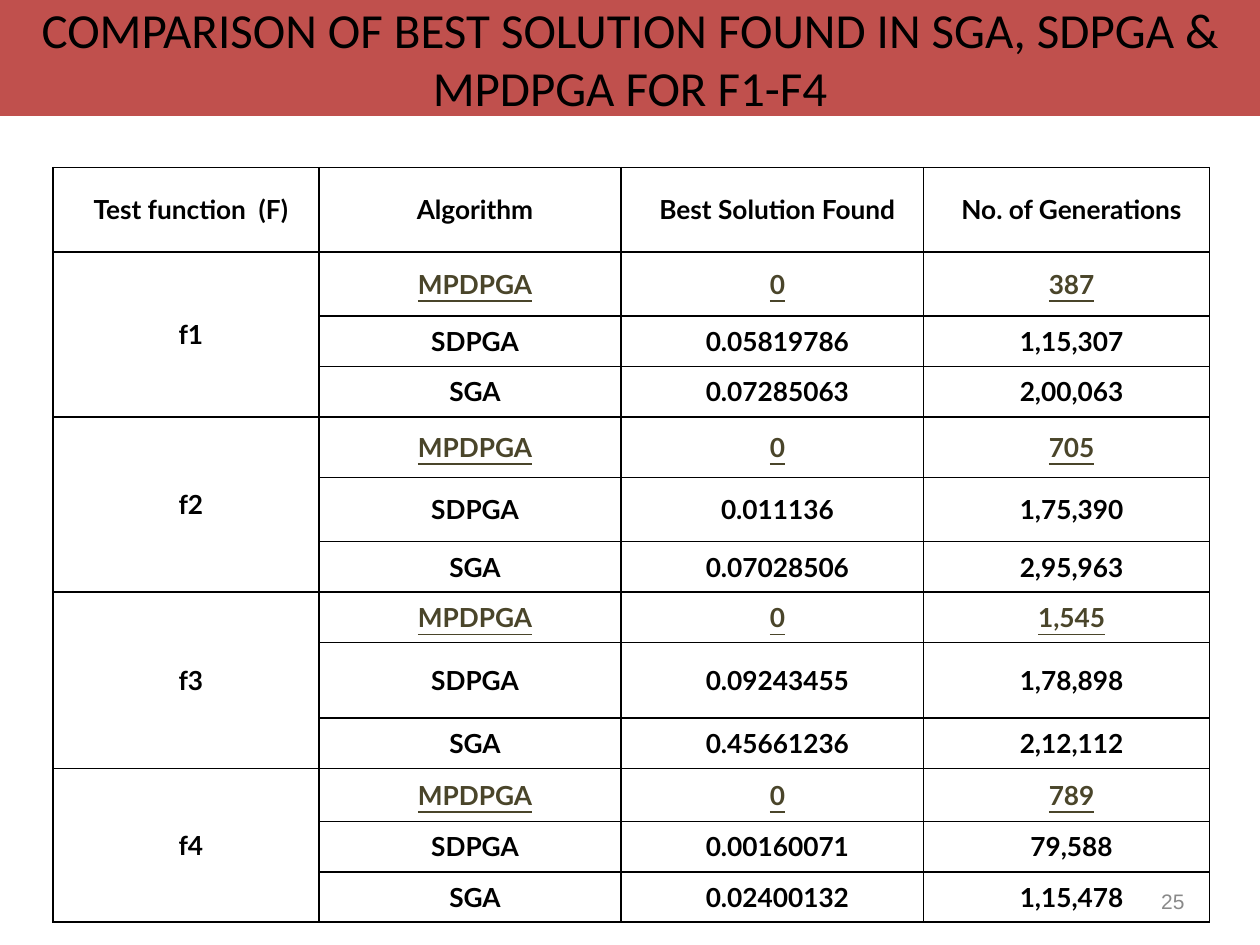
from lxml.etree import SubElement
from pptx import Presentation
from pptx.dml.color import RGBColor
from pptx.enum.text import MSO_ANCHOR, MSO_AUTO_SIZE, PP_ALIGN
from pptx.oxml.ns import qn
from pptx.util import Inches, Pt

COLORS = {"band": "C0504D", "text": "000000", "best": "4A452A",
          "number": "898989", "paper": "FFFFFF"}
COL_WIDTHS = [2.11, 2.4, 2.4, 2.27]
ROW_HEIGHTS = [0.67, 0.51, 0.4, 0.4, 0.48, 0.51, 0.4,
               0.4, 0.6, 0.4, 0.42, 0.4, 0.4]
HEADERS = ["Test function  (F)", "Algorithm", "Best Solution Found",
           "No. of Generations"]
ALGORITHMS = ["MPDPGA", "SDPGA", "SGA"]
# For each function: (best solution, generations) per algorithm
RESULTS = {
    "f1": [("0", "387"), ("0.05819786", "1,15,307"), ("0.07285063", "2,00,063")],
    "f2": [("0", "705"), ("0.011136", "1,75,390"), ("0.07028506", "2,95,963")],
    "f3": [("0", "1,545"), ("0.09243455", "1,78,898"), ("0.45661236", "2,12,112")],
    "f4": [("0", "789"), ("0.00160071", "79,588"), ("0.02400132", "1,15,478")],
}


def rgb(name):
    return RGBColor.from_string(COLORS[name])


def format_text(tf, font, size, color, align):
    tf.word_wrap = True
    tf.auto_size = MSO_AUTO_SIZE.NONE
    tf.vertical_anchor = MSO_ANCHOR.MIDDLE
    p = tf.paragraphs[0]
    p.alignment = align
    f = p.runs[0].font
    f.name, f.size, f.color.rgb = font, Pt(size), rgb(color)


def add_title(s, text, width, height):
    title = s.shapes.title
    title.left, title.top, title.width, title.height = 0, 0, width, height
    title.fill.solid()
    title.fill.fore_color.rgb = rgb("band")
    title.text_frame.text = text
    format_text(title.text_frame, "Calibri", 28, "text", PP_ALIGN.CENTER)


def style_cell(cell):
    # Borders come before the fill in the cell properties
    tcPr = cell._tc.get_or_add_tcPr()
    for side in ("a:lnL", "a:lnR", "a:lnT", "a:lnB"):
        ln = SubElement(tcPr, qn(side), w=str(Pt(1)))
        fill = SubElement(ln, qn("a:solidFill"))
        SubElement(fill, qn("a:srgbClr"), val=COLORS["text"])
    cell.fill.solid()
    cell.fill.fore_color.rgb = rgb("paper")
    cell.margin_left = cell.margin_right = 0
    cell.margin_top = cell.margin_bottom = 0
    cell.vertical_anchor = MSO_ANCHOR.MIDDLE


def write_cell(cell, text, best=False):
    cell.text = text
    p = cell.text_frame.paragraphs[0]
    p.alignment = PP_ALIGN.CENTER
    pPr = p._p.get_or_add_pPr()
    pPr.set("marL", "0")
    pPr.set("indent", str(Inches(0.08)))
    f = p.runs[0].font
    f.name, f.size, f.bold = "Lato", Pt(15), True
    f.underline = best
    f.color.rgb = rgb("best" if best else "text")


def add_results_table(s, left, top):
    frame = s.shapes.add_table(len(ROW_HEIGHTS), len(COL_WIDTHS), left, top,
                               Inches(sum(COL_WIDTHS)), Inches(sum(ROW_HEIGHTS)))
    table = frame.table
    for col, width in zip(table.columns, COL_WIDTHS):
        col.width = Inches(width)
    for row, height in zip(table.rows, ROW_HEIGHTS):
        row.height = Inches(height)
    for cell in table.iter_cells():
        style_cell(cell)

    # Header row
    for c, text in enumerate(HEADERS):
        write_cell(table.cell(0, c), text)

    # One merged block of rows per test function
    n = len(ALGORITHMS)
    for i, (function, results) in enumerate(RESULTS.items()):
        first = 1 + i * n
        table.cell(first, 0).merge(table.cell(first + n - 1, 0))
        write_cell(table.cell(first, 0), function)
        for j, (algorithm, result) in enumerate(zip(ALGORITHMS, results)):
            for c, text in enumerate((algorithm, *result), start=1):
                write_cell(table.cell(first + j, c), text, best=j == 0)


def add_page_number(s, text):
    box = s.shapes.add_textbox(Inches(7.17), Inches(6.95), Inches(2.33), Inches(0.4))
    box.text_frame.text = text
    format_text(box.text_frame, "Arial", 12, "number", PP_ALIGN.RIGHT)


def main():
    prs = Presentation()
    prs.slide_width, prs.slide_height = Inches(10), Inches(7.5)
    s = prs.slides.add_slide(prs.slide_layouts[5])
    add_title(s, "COMPARISON OF BEST SOLUTION FOUND IN SGA, SDPGA & MPDPGA FOR F1-F4",
              prs.slide_width, Inches(0.92))
    add_results_table(s, Inches(0.42), Inches(1.33))
    add_page_number(s, "25")
    prs.save("out.pptx")


if __name__ == "__main__":
    main()
